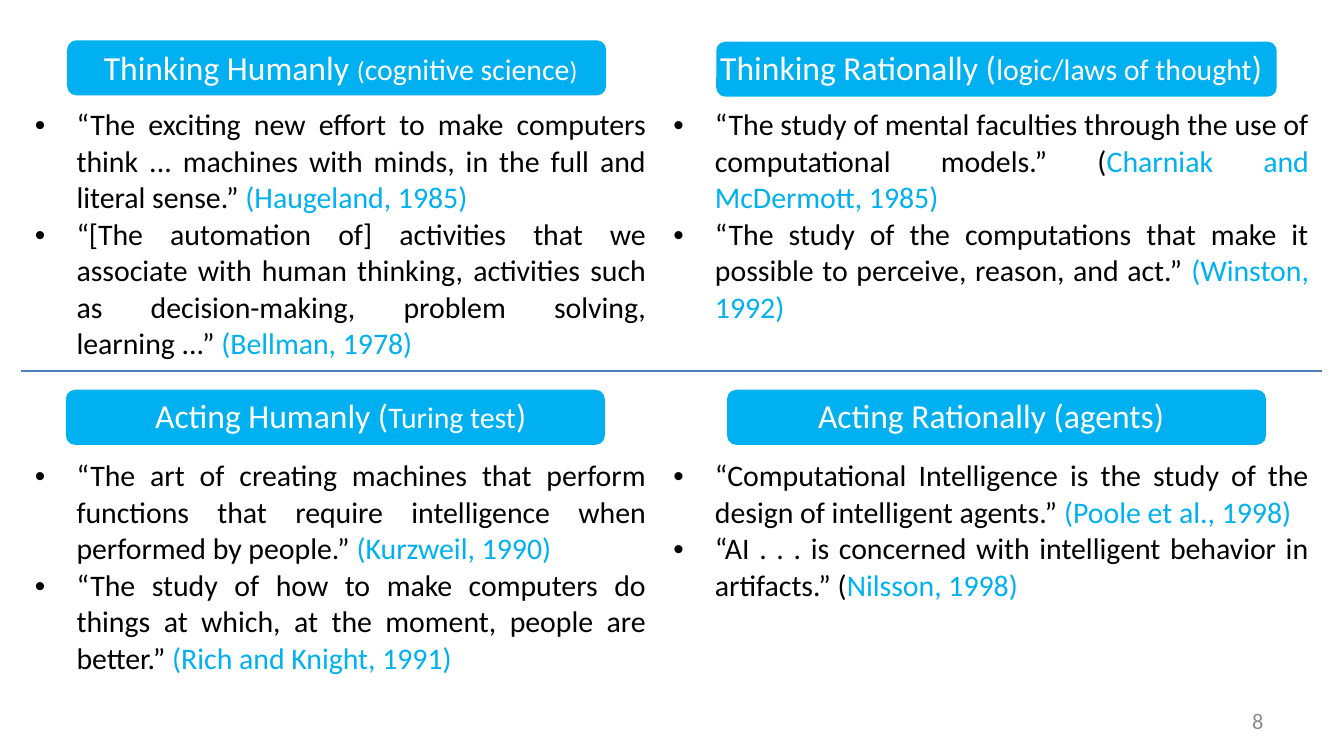
"""Builds a slide that sets out four families of definitions of AI in a two-by-two grid."""
from dataclasses import dataclass

from lxml import etree
from pptx import Presentation
from pptx import util as u
from pptx.dml.color import RGBColor
from pptx.enum import shapes, text
from pptx.oxml import ns


@dataclass(frozen=True)
class Theme:
    """Colours, font and type sizes of the slide."""
    font: str = "Calibri"
    accent: str = "00B0F0"
    white: str = "FFFFFF"
    ink: str = "000000"
    grey: str = "8C8C8C"
    rule: str = "4B7EBC"
    heading: int = 18
    body: int = 16
    small: int = 14
    number: int = 12


T = Theme()
NO_GRID_STYLE = "{2D5ABB26-0587-4C30-8999-92F81FD0307C}"
WIDTH = 10
COLUMNS = (4.75, 4.93)
ROWS = (0.44, 2.15, 0.46, 1.86)
BANNERS = ((5.41, 2.9, 4.01), (5.33, 0.31, 4.17), (0.5, 0.3, 4.01), (0.49, 2.9, 4.01))

HEADINGS = (
    (
        (("Thinking Humanly ", T.heading), ("(", T.small),
         ("cognitive science", T.body), (")", T.small)),
        (("Thinking Rationally (", T.heading), ("logic/laws of thought", T.body),
         (")", T.heading)),
    ),
    (
        (("Acting Humanly (", T.heading), ("Turing test", T.body), (")", T.heading)),
        (("Acting Rationally (agents)", T.heading),),
    ),
)

QUOTES = (
    (
        (
            ("“The exciting new effort to make computers think ... machines with minds, "
             "in the full and literal sense.” ", "(Haugeland, 1985)"),
            ("“[The automation of] activities that we associate with human thinking, "
             "activities such as decision-making, problem solving, learning ...” ",
             "(Bellman, 1978)"),
        ),
        (
            ("“The study of mental faculties through the use of computational models.” (",
             "Charniak and McDermott, 1985)"),
            ("“The study of the computations that make it possible to perceive, reason, "
             "and act.” ", "(Winston, 1992) "),
        ),
    ),
    (
        (
            ("“The art of creating machines that perform functions that require "
             "intelligence when performed by people.” ", "(Kurzweil, 1990)"),
            ("“The study of how to make computers do things at which, at the moment, "
             "people are better.” ", "(Rich and Knight, 1991)"),
        ),
        (
            ("“Computational Intelligence is the study of the design of intelligent "
             "agents.” ", "(Poole et al., 1998)"),
            ("“AI . . . is concerned with intelligent behavior in artifacts.” (",
             "Nilsson, 1998)"),
        ),
    ),
)


def add_run(p, words, size, color):
    """Append one formatted run to a paragraph."""
    r = p.add_run()
    r.text = words
    r.font.name = T.font
    r.font.size = u.Pt(size)
    r.font.color.rgb = RGBColor.from_string(color)


def add_banner(s, left, top, width):
    """Draw the rounded bar behind a heading."""
    sp = s.shapes.add_shape(shapes.MSO_SHAPE.ROUNDED_RECTANGLE, u.Inches(left),
                            u.Inches(top), u.Inches(width), u.Inches(0.41))
    sp.shadow.inherit = False
    sp.fill.solid()
    sp.fill.fore_color.rgb = RGBColor.from_string(T.accent)
    sp.line.fill.background()


def set_bullet(p):
    """Give a paragraph a hanging round bullet."""
    pPr = p._p.get_or_add_pPr()
    pPr.set("marL", str(u.Inches(0.31)))
    pPr.set("indent", str(u.Inches(-0.31)))
    etree.SubElement(pPr, ns.qn("a:buFont"), typeface="Arial")
    etree.SubElement(pPr, ns.qn("a:buChar"), char="•")


def fill_heading(cell, runs):
    """Write a centred white heading."""
    p = cell.text_frame.paragraphs[0]
    p.alignment = text.PP_ALIGN.CENTER
    for words, size in runs:
        add_run(p, words, size, T.white)


def fill_quotes(cell, quotes):
    """Write justified bulleted quotes, each with its coloured source."""
    tf = cell.text_frame
    for i, (quote, source) in enumerate(quotes):
        p = tf.add_paragraph() if i else tf.paragraphs[0]
        p.alignment = text.PP_ALIGN.JUSTIFY
        set_bullet(p)
        add_run(p, quote, T.body, T.ink)
        add_run(p, source, T.body, T.accent)


def add_grid(s):
    """Add the transparent table of headings and quotes."""
    table = s.shapes.add_table(len(ROWS), len(COLUMNS), u.Inches(0.16), u.Inches(0.31),
                               u.Inches(sum(COLUMNS)), u.Inches(sum(ROWS))).table
    table.first_row = table.horz_banding = False
    table._tbl.tblPr.find(ns.qn("a:tableStyleId")).text = NO_GRID_STYLE
    for column, width in zip(table.columns, COLUMNS):
        column.width = u.Inches(width)
    for row, height in zip(table.rows, ROWS):
        row.height = u.Inches(height)
    for cell in table.iter_cells():
        cell.fill.background()
    for band, (headings, quotes) in enumerate(zip(HEADINGS, QUOTES)):
        for col in range(len(COLUMNS)):
            fill_heading(table.cell(2 * band, col), headings[col])
            fill_quotes(table.cell(2 * band + 1, col), quotes[col])


def add_page_number(s, number):
    """Write the slide number at the lower right."""
    sp = s.shapes.add_textbox(u.Inches(7.17), u.Inches(5.21), u.Inches(2.33), u.Inches(0.3))
    tf = sp.text_frame
    tf.word_wrap = True
    tf.vertical_anchor = text.MSO_ANCHOR.MIDDLE
    p = tf.paragraphs[0]
    p.alignment = text.PP_ALIGN.RIGHT
    add_run(p, number, T.number, T.grey)


def add_divider(s):
    """Draw the line between the thinking and acting halves."""
    line = s.shapes.add_connector(shapes.MSO_CONNECTOR.STRAIGHT, u.Inches(0.16),
                                  u.Inches(2.76), u.Inches(9.84), u.Inches(2.76))
    line.line.color.rgb = RGBColor.from_string(T.rule)
    line.line.width = u.Pt(0.75)
    etree.SubElement(line._element.spPr, ns.qn("a:effectLst"))


def main():
    """Build and save the slide."""
    prs = Presentation()
    prs.slide_width, prs.slide_height = u.Inches(WIDTH), u.Inches(WIDTH * 9 / 16)
    s = prs.slides.add_slide(prs.slide_layouts[6])
    for banner in BANNERS:
        add_banner(s, *banner)
    add_grid(s)
    add_page_number(s, "8")
    add_divider(s)
    prs.save("out.pptx")


if __name__ == "__main__":
    main()
